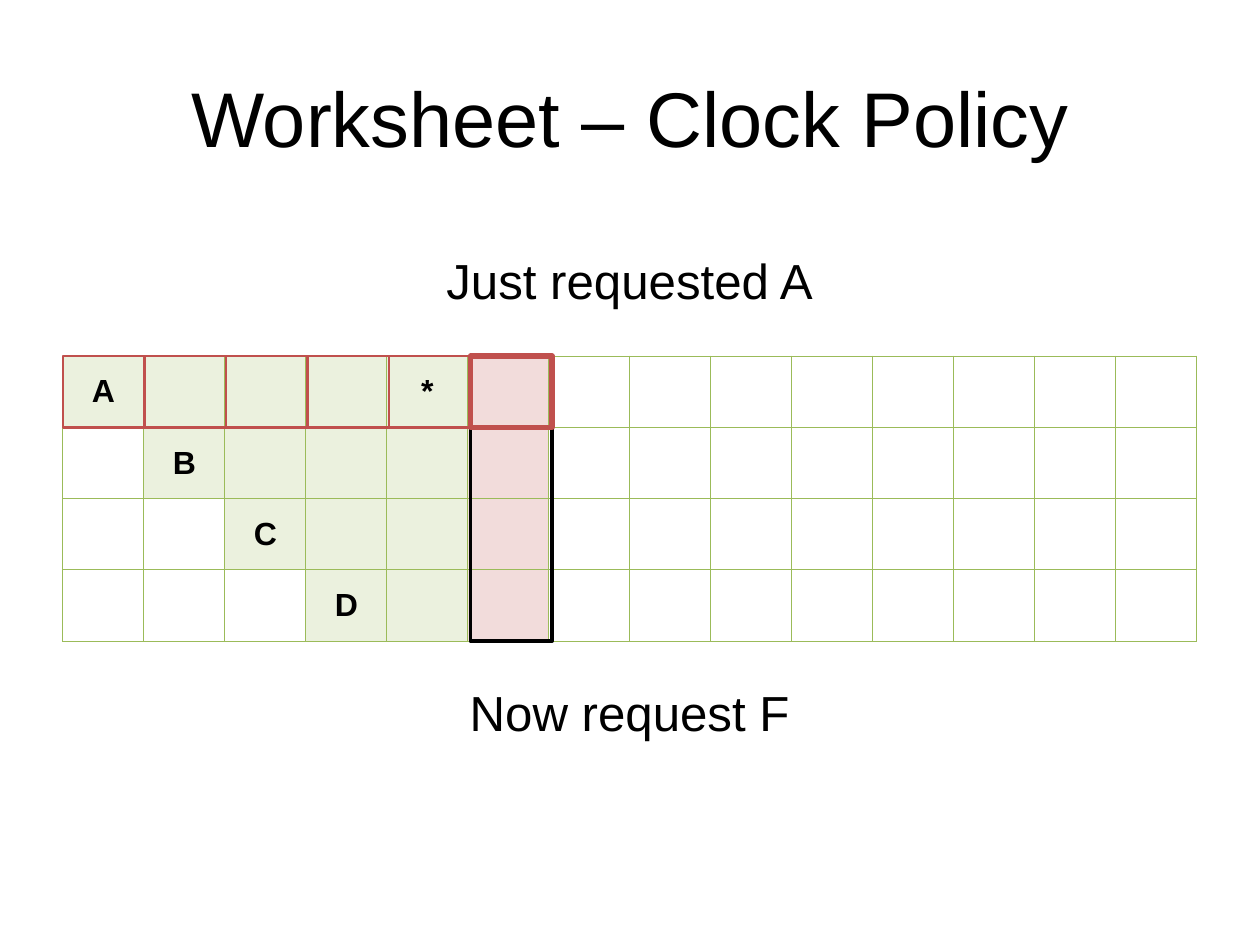
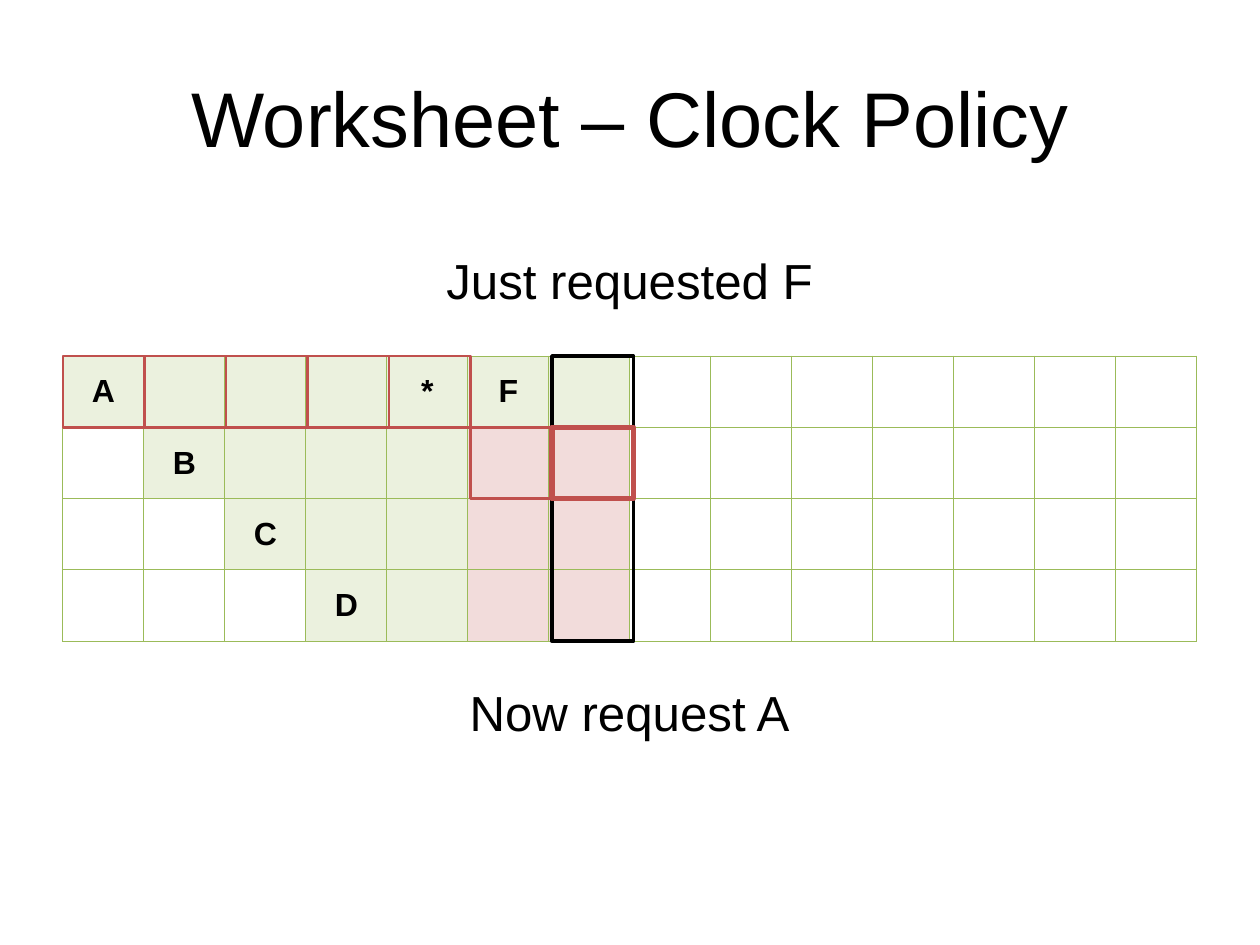
from dataclasses import dataclass

from lxml import etree
from pptx import Presentation
from pptx import util as u
from pptx.dml.color import RGBColor
from pptx.enum import shapes, text
from pptx.oxml import ns

FONT = "Arial"
BLACK = RGBColor(0x00, 0x00, 0x00)
WHITE = RGBColor(0xFF, 0xFF, 0xFF)
GREEN = RGBColor(0x9B, 0xBB, 0x59)
PALE_GREEN = RGBColor(0xEB, 0xF1, 0xDE)
PALE_RED = RGBColor(0xF2, 0xDC, 0xDB)
RED = RGBColor(0xC0, 0x50, 0x4D)
FILLS = {"g": PALE_GREEN, "r": PALE_RED, ".": WHITE}

LEFT, WIDTH = 0.71, 12.8
GRID_TOP, GRID_HEIGHT = 4.02, 3.22
ROWS, COLUMNS = 4, 14
ROW_HEIGHT = GRID_HEIGHT / ROWS
MARKER_WIDTH = 0.92


@dataclass(frozen=True)
class Marker:
    column: int
    row: int = 0
    rows: int = 1
    color: RGBColor = RED
    weight: float = 2


@dataclass(frozen=True)
class Step:
    previous: str
    upcoming: str
    fills: tuple[str, ...]
    labels: dict[tuple[int, int], str]
    markers: tuple[Marker, ...]


LABELS = {(0, 0): "A", (0, 4): "*", (1, 1): "B", (2, 2): "C", (3, 3): "D"}
FIRST_HITS = tuple(Marker(column) for column in range(5))
STEPS = (
    Step(
        "Just requested A",
        "Now request F",
        ("gggggr", ".ggggr", "..gggr", "...ggr"),
        LABELS,
        (
            *FIRST_HITS,
            Marker(5, rows=ROWS, color=BLACK, weight=3),
            Marker(5, weight=4.5),
        ),
    ),
    Step(
        "Just requested F",
        "Now request A",
        ("ggggggg", ".ggggrr", "..gggrr", "...ggrr"),
        {**LABELS, (0, 5): "F"},
        (
            *FIRST_HITS,
            Marker(5, row=1, weight=2.25),
            Marker(6, rows=ROWS, color=BLACK, weight=3),
            Marker(6, row=1, weight=4.5),
        ),
    ),
)


def write(frame, value: str, *, size: float, bold: bool = False) -> None:
    para = frame.paragraphs[0]
    para.alignment = text.PP_ALIGN.CENTER
    span = para.add_run()
    span.text = value
    span.font.name = FONT
    span.font.size = u.Pt(size)
    span.font.bold = bold
    span.font.color.rgb = BLACK


def add_title(page, value: str) -> None:
    box = page.shapes.add_textbox(
        u.Inches(LEFT), u.Inches(0.43), u.Inches(WIDTH), u.Inches(1.78)
    )
    frame = box.text_frame
    frame.word_wrap = True
    frame.vertical_anchor = text.MSO_ANCHOR.MIDDLE
    frame.margin_left = frame.margin_right = u.Inches(0.14)
    frame.margin_top = frame.margin_bottom = u.Inches(0.07)
    write(frame, value, size=63)


def add_caption(page, value: str, top: float) -> None:
    box = page.shapes.add_textbox(
        u.Inches(4.87), u.Inches(top), u.Inches(4.47), u.Inches(0.77)
    )
    box.text_frame.word_wrap = False
    box.text_frame.auto_size = text.MSO_AUTO_SIZE.SHAPE_TO_FIT_TEXT
    write(box.text_frame, value, size=40)


def add_borders(cell, color: RGBColor, weight: float) -> None:
    properties = cell._tc.get_or_add_tcPr()
    for side in ("lnL", "lnR", "lnT", "lnB"):
        line = etree.SubElement(
            properties, ns.qn(f"a:{side}"), w=str(u.Pt(weight))
        )
        fill = etree.SubElement(line, ns.qn("a:solidFill"))
        etree.SubElement(fill, ns.qn("a:srgbClr"), val=str(color))


def add_grid(page, step: Step) -> None:
    table = page.shapes.add_table(
        ROWS, COLUMNS, u.Inches(LEFT), u.Inches(GRID_TOP),
        u.Inches(WIDTH), u.Inches(GRID_HEIGHT),
    ).table
    table.first_row = table.horz_banding = False
    for column in table.columns:
        column.width = u.Inches(WIDTH / COLUMNS)
    for row, pattern in enumerate(step.fills):
        table.rows[row].height = u.Inches(ROW_HEIGHT)
        for column, key in enumerate(pattern.ljust(COLUMNS, ".")):
            cell = table.cell(row, column)
            add_borders(cell, GREEN, 1)
            cell.fill.solid()
            cell.fill.fore_color.rgb = FILLS[key]
            cell.vertical_anchor = text.MSO_ANCHOR.MIDDLE
            if (row, column) in step.labels:
                write(
                    cell.text_frame, step.labels[row, column],
                    size=26, bold=True,
                )


def add_marker(page, marker: Marker) -> None:
    frame = page.shapes.add_shape(
        shapes.MSO_SHAPE.RECTANGLE,
        u.Inches(LEFT + marker.column * MARKER_WIDTH),
        u.Inches(GRID_TOP + marker.row * ROW_HEIGHT),
        u.Inches(MARKER_WIDTH),
        u.Inches(marker.rows * ROW_HEIGHT),
    )
    frame.shadow.inherit = False
    frame.fill.background()
    frame.line.color.rgb = marker.color
    frame.line.width = u.Pt(marker.weight)


def main() -> None:
    deck = Presentation()
    deck.slide_width = u.Inches(14.22)
    deck.slide_height = u.Inches(10.67)
    for step in STEPS:
        page = deck.slides.add_slide(deck.slide_layouts[6])
        add_grid(page, step)
        add_title(page, "Worksheet – Clock Policy")
        add_caption(page, step.previous, 2.78)
        add_caption(page, step.upcoming, 7.66)
        for marker in step.markers:
            add_marker(page, marker)
    deck.save("out.pptx")


if __name__ == "__main__":
    main()
